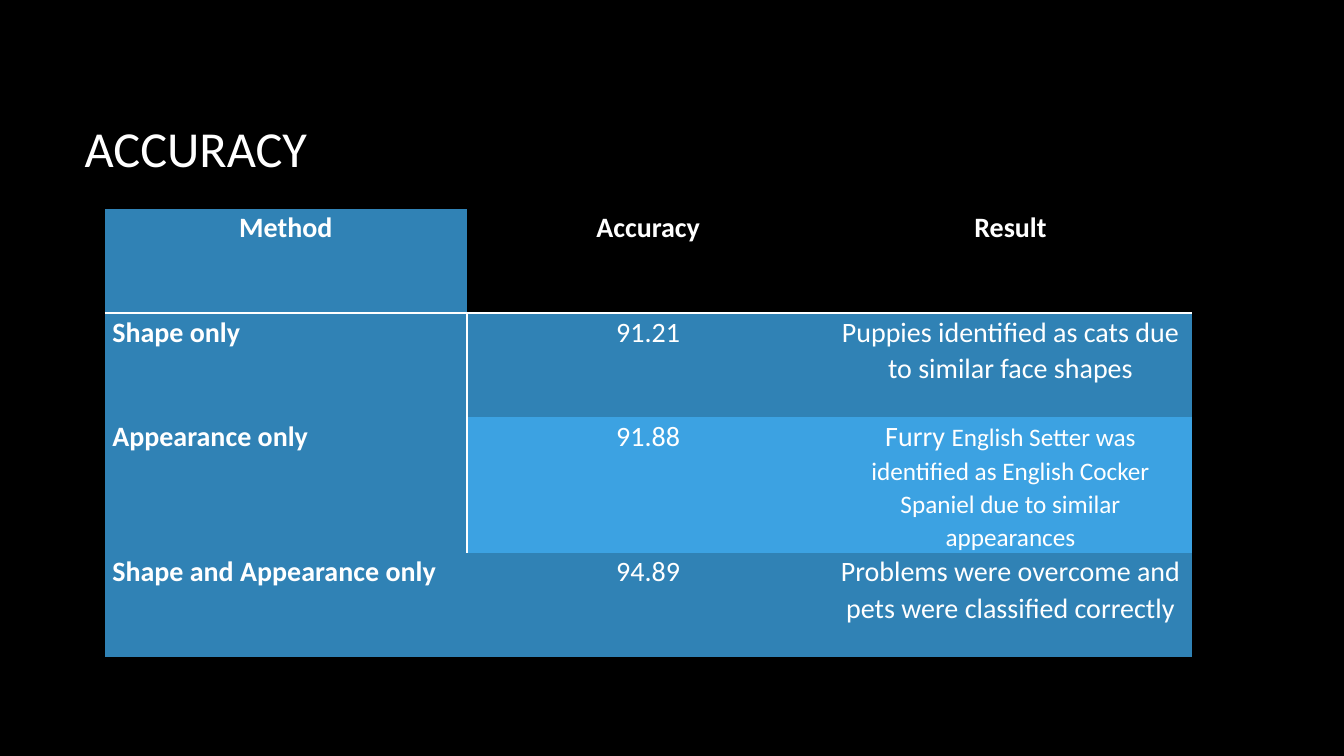
import pptx
import pptx.util
import pptx.dml.color
import pptx.enum.text
import pptx.oxml.ns
import lxml.etree

Cm = pptx.util.Cm
Pt = pptx.util.Pt
qn = pptx.oxml.ns.qn
ALIGN = pptx.enum.text.PP_ALIGN
ANCHOR = pptx.enum.text.MSO_ANCHOR

HUES = {"back": "000000", "text": "FFFFFF", "deep": "3082B5", "light": "3CA2E2"}
PLAIN = "{2D5ABB26-0587-4C30-8999-92F81FD0307C}"

ROWS = [
    [["Method"], ["Accuracy"], ["Result"]],
    [["Shape only"], ["91.21"],
     ["Puppies identified as cats due to similar face shapes"]],
    [["Appearance only"], ["91.88"],
     ["Furry ", "English Setter was identified as English Cocker Spaniel "
      "due to similar appearances"]],
    [["Shape and Appearance only"], ["94.89"],
     ["Problems were overcome and pets were classified correctly"]],
]


class Deck:
    face = "Calibri"

    def __init__(self):
        self.show = pptx.Presentation()
        self.show.slide_width = Cm(33.87)
        self.show.slide_height = Cm(19.05)
        self.slide = self.show.slides.add_slide(self.show.slide_layouts[5])
        self.paint(self.slide.background.fill, "back")

    def paint(self, fill, hue):
        fill.solid()
        fill.fore_color.rgb = pptx.dml.color.RGBColor.from_string(HUES[hue])

    def style(self, run, size, bold=False):
        run.font.name = self.face
        run.font.size = Pt(size)
        run.font.bold = bold
        self.paint(run.font.fill, "text")

    def title(self, text, left, top, width, height):
        box = self.slide.shapes.title
        box.left, box.top = Cm(left), Cm(top)
        box.width, box.height = Cm(width), Cm(height)
        frame = box.text_frame
        frame.text = text
        frame.vertical_anchor = ANCHOR.MIDDLE
        para = frame.paragraphs[0]
        para.alignment = ALIGN.LEFT
        self.style(para.runs[0], 36)

    def edge(self, cell, side):
        line = lxml.etree.SubElement(cell._tc.get_or_add_tcPr(), qn("a:ln" + side))
        line.set("w", str(Pt(2)))
        fill = lxml.etree.SubElement(line, qn("a:solidFill"))
        lxml.etree.SubElement(fill, qn("a:srgbClr")).set("val", HUES["text"])

    def cell(self, cell, parts, hue, bold, align):
        cell.margin_left = cell.margin_right = Cm(0.19)
        cell.margin_top = cell.margin_bottom = 0
        para = cell.text_frame.paragraphs[0]
        para.alignment = align
        para.line_spacing = 1.07
        for part, size in zip(parts, (20, 18)):
            run = para.add_run()
            run.text = part
            self.style(run, size, bold)
        self.paint(cell.fill, hue)

    def table(self, rows, left, top, wide, high):
        count, span = len(rows), len(rows[0])
        frame = self.slide.shapes.add_table(
            count, span, Cm(left), Cm(top), Cm(wide * span), Cm(high * count))
        for node in frame.element.iter(qn("a:tableStyleId")):
            node.text = PLAIN
        grid = frame.table
        for col in grid.columns:
            col.width = Cm(wide)
        for r, row in enumerate(rows):
            grid.rows[r].height = Cm(high)
            for c, parts in enumerate(row):
                cell = grid.cell(r, c)
                head, first = r == 0, c == 0
                if first and 0 < r < count - 1:
                    self.edge(cell, "R")
                if head:
                    self.edge(cell, "B")
                if first:
                    hue = "deep"
                elif head:
                    hue = "back"
                else:
                    hue = "deep" if r % 2 else "light"
                align = ALIGN.LEFT if first and not head else ALIGN.CENTER
                self.cell(cell, parts, hue, head or first, align)


def main():
    deck = Deck()
    deck.title("ACCURACY", 1.88, 1.7, 28.14, 4.04)
    deck.table(ROWS, 2.64, 5.26, 9.13, 2.63)
    deck.show.save("out.pptx")


if __name__ == "__main__":
    main()
